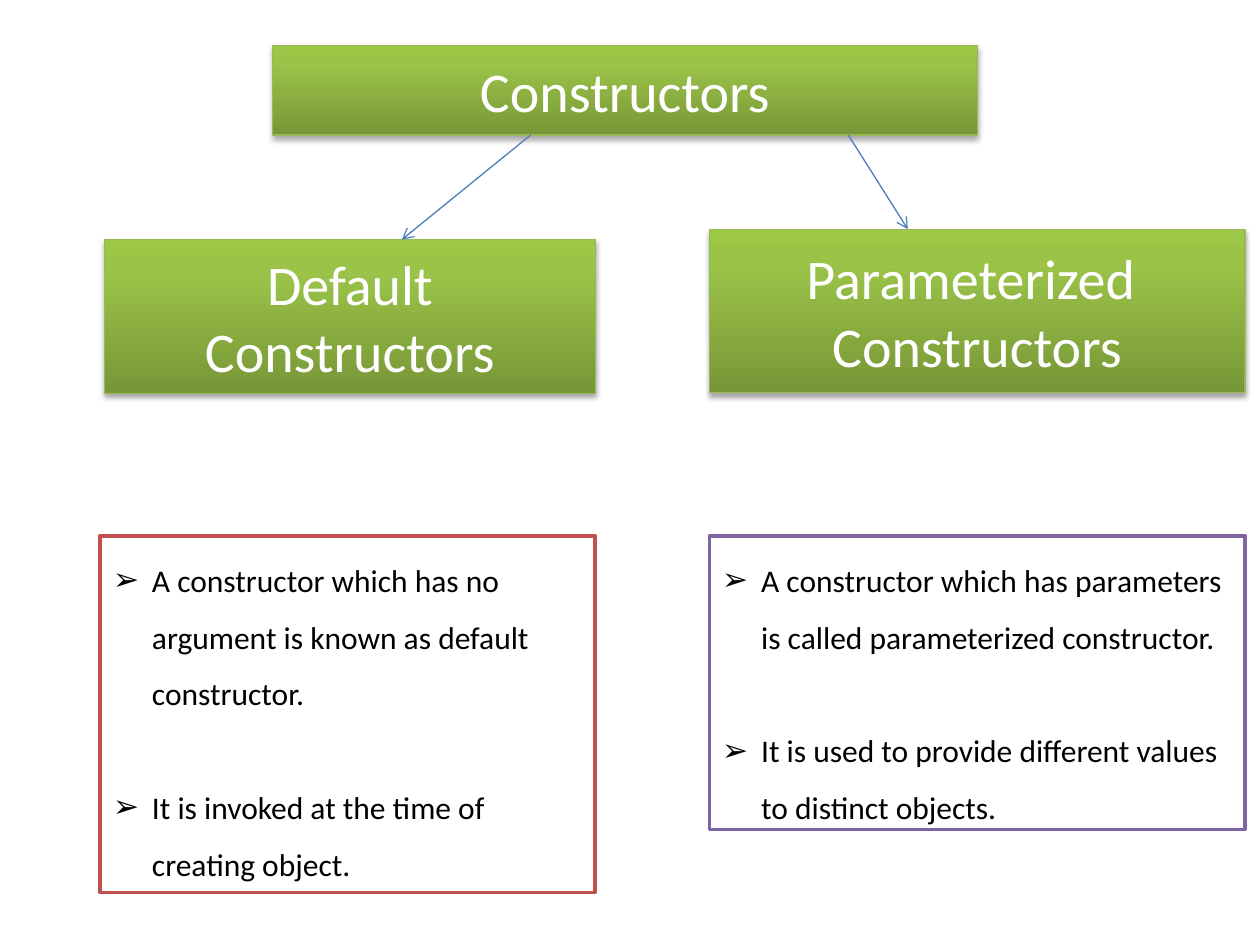
from lxml.etree import SubElement
from pptx import Presentation
from pptx.dml.color import RGBColor
from pptx.enum.shapes import MSO_CONNECTOR
from pptx.enum.text import MSO_ANCHOR, MSO_AUTO_SIZE, PP_ALIGN
from pptx.oxml.ns import qn
from pptx.util import Cm, Pt

GRADIENT = ((0, "779737"), (80, "9BC348"), (100, "9DC746"))
TITLE_BOX = (5.5, 0.92, 14.2, 1.8)
DEFAULT_BOX = (2.1, 4.83, 9.91, 3.1)
PARAMETERIZED_BOX = (14.3, 4.62, 10.8, 3.3)


def set_color(color_format, value):
    """Give a colour format the colour of a hex string."""
    color_format.rgb = RGBColor.from_string(value)


def add_run(paragraph, text, size, color):
    """Add one formatted run to a paragraph."""
    run = paragraph.add_run()
    run.text = text
    run.font.name = "Calibri"
    run.font.size = Pt(size)
    run.font.bold = False
    set_color(run.font.color, color)


def set_outline(shape, color, width):
    """Draw a solid outline around a shape or along a connector."""
    shape.line.fill.solid()
    set_color(shape.line.color, color)
    shape.line.width = Pt(width)


def add_gradient(shape):
    """Fill a shape with the green gradient, darkest at the bottom."""
    gradient = SubElement(shape._element.spPr, qn("a:gradFill"), rotWithShape="1")
    stops = SubElement(gradient, qn("a:gsLst"))
    for position, color in GRADIENT:
        stop = SubElement(stops, qn("a:gs"), pos=str(position * 1000))
        SubElement(stop, qn("a:srgbClr"), val=color)
    SubElement(gradient, qn("a:lin"), ang=str(270 * 60000), scaled="0")


def add_shadow(shape):
    """Add a soft shadow below a shape."""
    effects = SubElement(shape._element.spPr, qn("a:effectLst"))
    shadow = SubElement(effects, qn("a:outerShdw"), blurRad=str(Pt(3.1)),
                        dist=str(Pt(1.8)), dir=str(90 * 60000), rotWithShape="0")
    color = SubElement(shadow, qn("a:srgbClr"), val="000000")
    SubElement(color, qn("a:alpha"), val="35000")


def place(shape, box, anchor):
    """Fix a placeholder to a box in centimetres and anchor its text."""
    shape.left, shape.top, shape.width, shape.height = map(Cm, box)
    frame = shape.text_frame
    frame.word_wrap = True
    frame.auto_size = MSO_AUTO_SIZE.NONE
    frame.vertical_anchor = anchor


def add_paragraphs(frame, texts, size, color):
    """Write one paragraph per text and return the paragraphs."""
    for index, text in enumerate(texts):
        paragraph = frame.add_paragraph() if index else frame.paragraphs[0]
        paragraph.space_before = Pt(0)
        add_run(paragraph, text, size, color)
    return frame.paragraphs


def fill_heading(shape, box, lines):
    """Turn a placeholder into a green heading with centred lines."""
    place(shape, box, MSO_ANCHOR.MIDDLE)
    add_gradient(shape)
    set_outline(shape, "98B955", 0.75)
    add_shadow(shape)
    for paragraph in add_paragraphs(shape.text_frame, lines, 32, "FFFFFF"):
        paragraph.alignment = PP_ALIGN.CENTER


def fill_list(shape, box, outline, items):
    """Turn a placeholder into an outlined list with arrow bullets."""
    place(shape, box, MSO_ANCHOR.TOP)
    shape.fill.solid()
    set_color(shape.fill.fore_color, "FFFFFF")
    set_outline(shape, outline, 2)
    for index, paragraph in enumerate(add_paragraphs(shape.text_frame, items, 18, "000000")):
        paragraph.line_spacing = 1.5
        paragraph.space_before = Pt(32.5 if index else 0)
        properties = paragraph._p.get_or_add_pPr()
        properties.set("marL", str(Cm(0.79)))
        properties.set("indent", str(Cm(-0.79)))
        SubElement(properties, qn("a:buFont"), typeface="Arial")
        SubElement(properties, qn("a:buChar"), char="➢")


def add_arrow(slide, start_x, end_x, branch_box):
    """Draw an arrow from the bottom of the title to the top of a branch."""
    title_bottom = TITLE_BOX[1] + TITLE_BOX[3]
    connector = slide.shapes.add_connector(
        MSO_CONNECTOR.STRAIGHT, Cm(start_x), Cm(title_bottom), Cm(end_x), Cm(branch_box[1]))
    set_outline(connector, "4B7EBC", 0.75)
    SubElement(connector.line._get_or_add_ln(), qn("a:tailEnd"), type="arrow")
    SubElement(connector._element.spPr, qn("a:effectLst"))


def build_slide(presentation):
    """Build the slide that compares the two kinds of constructors."""
    slide = presentation.slides.add_slide(presentation.slide_layouts.get_by_name("Comparison"))
    default_heading, default_list, parameterized_heading, parameterized_list = (
        slide.placeholders[index] for index in range(1, 5))
    fill_heading(slide.shapes.title, TITLE_BOX, ["Constructors"])
    fill_heading(default_heading, DEFAULT_BOX, ["Default Constructors"])
    fill_heading(parameterized_heading, PARAMETERIZED_BOX, ["Parameterized ", "Constructors"])
    add_arrow(slide, 10.7, 8.1, DEFAULT_BOX)
    add_arrow(slide, 17.1, 18.3, PARAMETERIZED_BOX)
    fill_list(default_list, (2.02, 10.8, 9.98, 7.19), "C0504D", [
        "A constructor which has no argument is known as default constructor.",
        "It is invoked at the time of creating object."])
    fill_list(parameterized_list, (14.3, 10.8, 10.8, 5.92), "8064A2", [
        "A constructor which has parameters is called parameterized constructor.",
        "It is used to provide different values to distinct objects."])


def main():
    """Create and save the presentation."""
    presentation = Presentation()
    presentation.slide_width, presentation.slide_height = Cm(25.4), Cm(19.05)
    build_slide(presentation)
    presentation.save("out.pptx")


if __name__ == "__main__":
    main()
